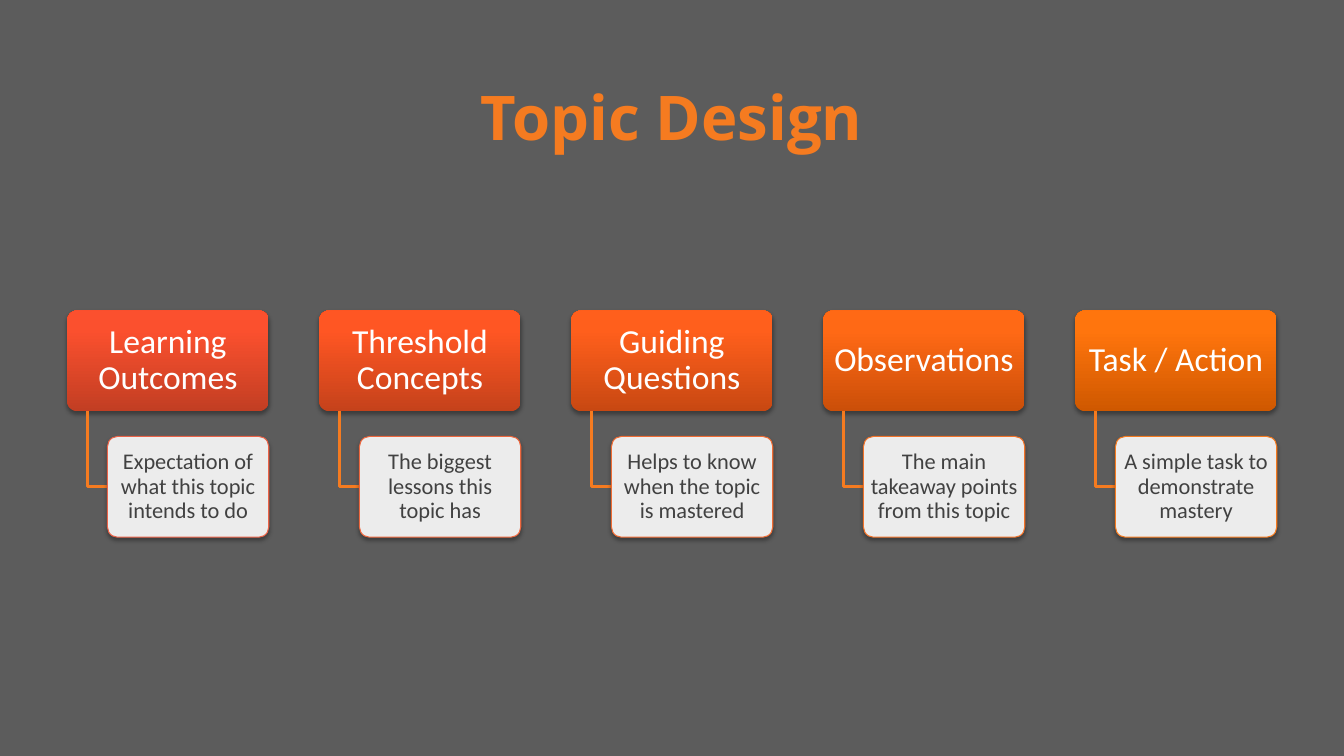
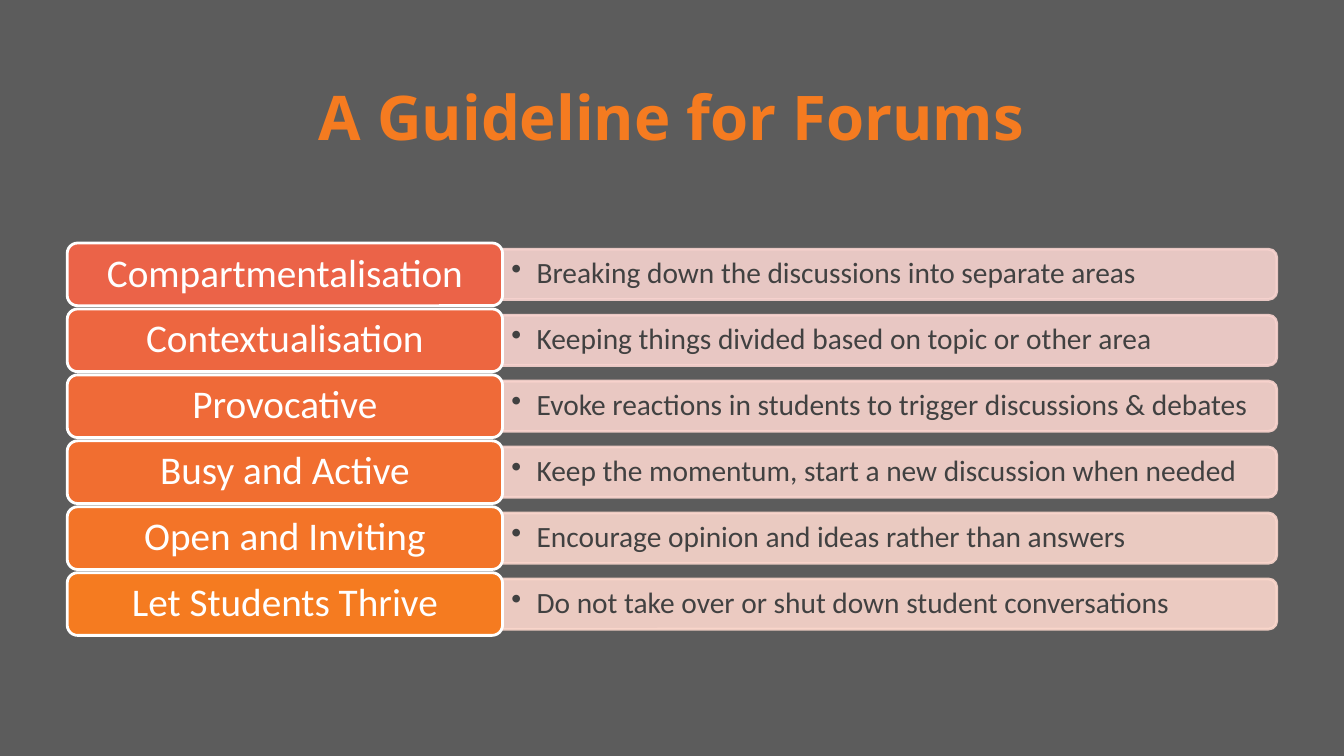
"""Build two slides on topic design and forum guidelines."""
from dataclasses import dataclass

from pptx import Presentation
from pptx import util as u
from pptx.dml.color import RGBColor
from pptx.enum import shapes, text
from pptx.oxml import ns, xmlchemy


@dataclass(frozen=True)
class Theme:
    """Colours, fonts and type sizes shared by the slides."""

    background: str = "5C5C5C"
    accent: str = "F57B20"
    dark: str = "414141"
    white: str = "FFFFFF"
    heading_tops: tuple = ("FB502E", "FF5623", "FF5F1C", "FF6915", "FF750D")
    heading_bottoms: tuple = ("C23E23", "C5421B", "C84812", "CB4F09", "CF5800")
    card_lines: tuple = ("EB6348", "ED673E", "F06C34", "F2732A", "F57B20")
    labels: tuple = ("EB6348", "ED6640", "EF6A38", "F16E30", "F37428", "F57B20")
    bars: tuple = ("F7D3CF", "F8D3CF", "F9D4CE", "FAD5CE", "FAD6CD", "FBD7CC")
    title_font: str = "Open Sans"
    body_font: str = "Calibri"
    title_size: int = 44
    heading_size: int = 24
    card_size: int = 16
    label_size: int = 28
    bar_size: int = 21


THEME = Theme()
LEFT, WIDTH = 48, 864

TOPICS = (
    ("Learning Outcomes", "Expectation of what this topic intends to do"),
    ("Threshold Concepts", "The biggest lessons this topic has"),
    ("Guiding Questions", "Helps to know when the topic is mastered"),
    ("Observations", "The main takeaway points from this topic"),
    ("Task / Action", "A simple task to demonstrate mastery"),
)
GUIDELINES = (
    ("Compartmentalisation", "Breaking down the discussions into separate areas"),
    ("Contextualisation", "Keeping things divided based on topic or other area"),
    ("Provocative", "Evoke reactions in students to trigger discussions & debates"),
    ("Busy and Active", "Keep the momentum, start a new discussion when needed"),
    ("Open and Inviting", "Encourage opinion and ideas rather than answers"),
    ("Let Students Thrive", "Do not take over or shut down student conversations"),
)


def points(*lengths):
    """Convert numbers to point lengths."""
    return [u.Pt(length) for length in lengths]


def add_xml(parent, tag, **attributes):
    """Append a DrawingML element and return it."""
    child = xmlchemy.OxmlElement(tag)
    for name, value in attributes.items():
        child.set(name, str(value))
    parent.append(child)
    return child


def fade(shape):
    """Make every colour set on the shape so far 90% opaque."""
    for colour in shape.element.spPr.iter(ns.qn("a:srgbClr")):
        add_xml(colour, "a:alpha", val=90000)


def add_shadow(shape):
    """Give the shape a soft shadow below it."""
    effects = shape.element.spPr.find(ns.qn("a:effectLst"))
    shadow = add_xml(effects, "a:outerShdw", blurRad=u.Pt(3.1), dist=u.Pt(1.8),
                     dir=5400000, algn="ctr", rotWithShape=0)
    colour = add_xml(shadow, "a:srgbClr", val="000000")
    add_xml(colour, "a:alpha", val=35000)


def set_fill(shape, colour):
    """Fill the shape with one colour."""
    shape.fill.solid()
    shape.fill.fore_color.rgb = RGBColor.from_string(colour)


def set_line(shape, colour, width):
    """Outline the shape."""
    shape.line.color.rgb = RGBColor.from_string(colour)
    shape.line.width = u.Pt(width)


def set_text(shape, content, size, colour, insets=(7.2, 3.6),
             align=text.PP_ALIGN.CENTER, font=THEME.body_font):
    """Write one vertically centred paragraph and return it."""
    frame = shape.text_frame
    frame.text = content
    frame.word_wrap = True
    frame.vertical_anchor = text.MSO_ANCHOR.MIDDLE
    frame.margin_left, frame.margin_top = points(*insets)
    frame.margin_right, frame.margin_bottom = points(*insets)
    paragraph = frame.paragraphs[0]
    paragraph.alignment = align
    paragraph.line_spacing = 0.9
    run_font = paragraph.runs[0].font
    run_font.name, run_font.size = font, u.Pt(size)
    run_font.color.rgb = RGBColor.from_string(colour)
    return paragraph


def add_box(slide, kind, *bounds):
    """Add a preset shape without shadow or outline."""
    shape = slide.shapes.add_shape(kind, *points(*bounds))
    shape.shadow.inherit = False
    shape.line.fill.background()
    return shape


def add_rounded(slide, *bounds, corner=0.1):
    """Add a rounded rectangle."""
    shape = add_box(slide, shapes.MSO_SHAPE.ROUNDED_RECTANGLE, *bounds)
    shape.adjustments[0] = corner
    return shape


def add_title_slide(presentation, title):
    """Add a blank slide with the shared title style."""
    slide = presentation.slides.add_slide(presentation.slide_layouts[6])
    box = slide.shapes.add_textbox(*points(LEFT, 37.5, WIDTH, 90))
    paragraph = set_text(box, title, THEME.title_size, THEME.accent,
                         font=THEME.title_font)
    paragraph.line_spacing = 1.0
    font = paragraph.runs[0].font
    font.bold = True
    properties = paragraph.runs[0].font.fill and paragraph.runs[0]._r.get_or_add_rPr()
    outline = add_xml(properties, "a:ln", w=u.Pt(0.75))
    add_xml(add_xml(outline, "a:solidFill"), "a:srgbClr", val=THEME.dark)
    properties.insert(0, outline)
    return slide


def add_elbow(slide, x, top, width, height):
    """Draw a line going down and then right."""
    builder = slide.shapes.build_freeform(*points(x, top))
    builder.add_line_segments(
        [points(x, top + height), points(x + width, top + height)], close=False)
    elbow = builder.convert_to_shape()
    elbow.shadow.inherit = False
    elbow.fill.background()
    set_line(elbow, THEME.accent, 2)


def add_topic(slide, index, heading, detail):
    """Add a heading block with its detail card hanging below."""
    width, height, gap, indent = 144, 72, 36, 28.8
    x, top = LEFT + index * (width + gap), 221.75
    block = add_rounded(slide, x, top, width, height)
    block.fill.gradient()
    block.fill.gradient_angle = 90
    colours = (THEME.heading_bottoms[index], THEME.heading_tops[index])
    for stop, colour, position in zip(block.fill.gradient_stops, colours, (0, 0.8)):
        stop.color.rgb = RGBColor.from_string(colour)
        stop.position = position
    add_shadow(block)
    set_text(block, heading, THEME.heading_size, THEME.white, (3.6, 2.4))

    card_top = top + height * 1.25
    add_elbow(slide, x + indent / 2, top + height, indent / 2,
              card_top - top - height / 2)
    card = add_rounded(slide, x + indent, card_top, width - indent, height)
    set_fill(card, THEME.white)
    fade(card)
    set_line(card, THEME.card_lines[index], 0.75)
    add_shadow(card)
    set_text(card, detail, THEME.card_size, THEME.dark, (2.4, 1.6))


def add_guideline(slide, index, label, detail):
    """Add a label with a bulleted bar to its right."""
    label_width, label_height, bar_height = 311, 44.8, 35.9
    top = 173.6 + index * 47.1
    middle = top + label_height / 2
    bar_left, bar_width = LEFT + label_width, WIDTH - label_width
    bar = add_box(slide, shapes.MSO_SHAPE.ROUND_2_SAME_RECTANGLE,
                  bar_left + (bar_width - bar_height) / 2, middle - bar_width / 2,
                  bar_height, bar_width)
    bar.rotation = 90
    set_fill(bar, THEME.bars[index])
    set_line(bar, THEME.bars[index], 2)
    fade(bar)

    box = slide.shapes.add_textbox(
        *points(bar_left, middle - bar_height / 2, bar_width, bar_height))
    paragraph = set_text(box, detail, THEME.bar_size, THEME.dark, (6.3, 3.1),
                         text.PP_ALIGN.LEFT)
    properties = paragraph._p.get_or_add_pPr()
    properties.set("marL", str(u.Pt(18)))
    properties.set("indent", str(-u.Pt(18)))
    add_xml(properties, "a:buChar", char="•")

    block = add_rounded(slide, LEFT, top, label_width, label_height, corner=0.1667)
    set_fill(block, THEME.labels[index])
    set_line(block, THEME.white, 2)
    set_text(block, label, THEME.label_size, THEME.white, (8.4, 4.2))


def main():
    """Build and save the presentation."""
    presentation = Presentation()
    presentation.slide_width, presentation.slide_height = points(960, 540)
    set_fill(presentation.slide_master.background, THEME.background)
    for title, add_item, items in (
        ("Topic Design", add_topic, TOPICS),
        ("A Guideline for Forums", add_guideline, GUIDELINES),
    ):
        slide = add_title_slide(presentation, title)
        for index, (name, detail) in enumerate(items):
            add_item(slide, index, name, detail)
    presentation.save("out.pptx")


if __name__ == "__main__":
    main()
